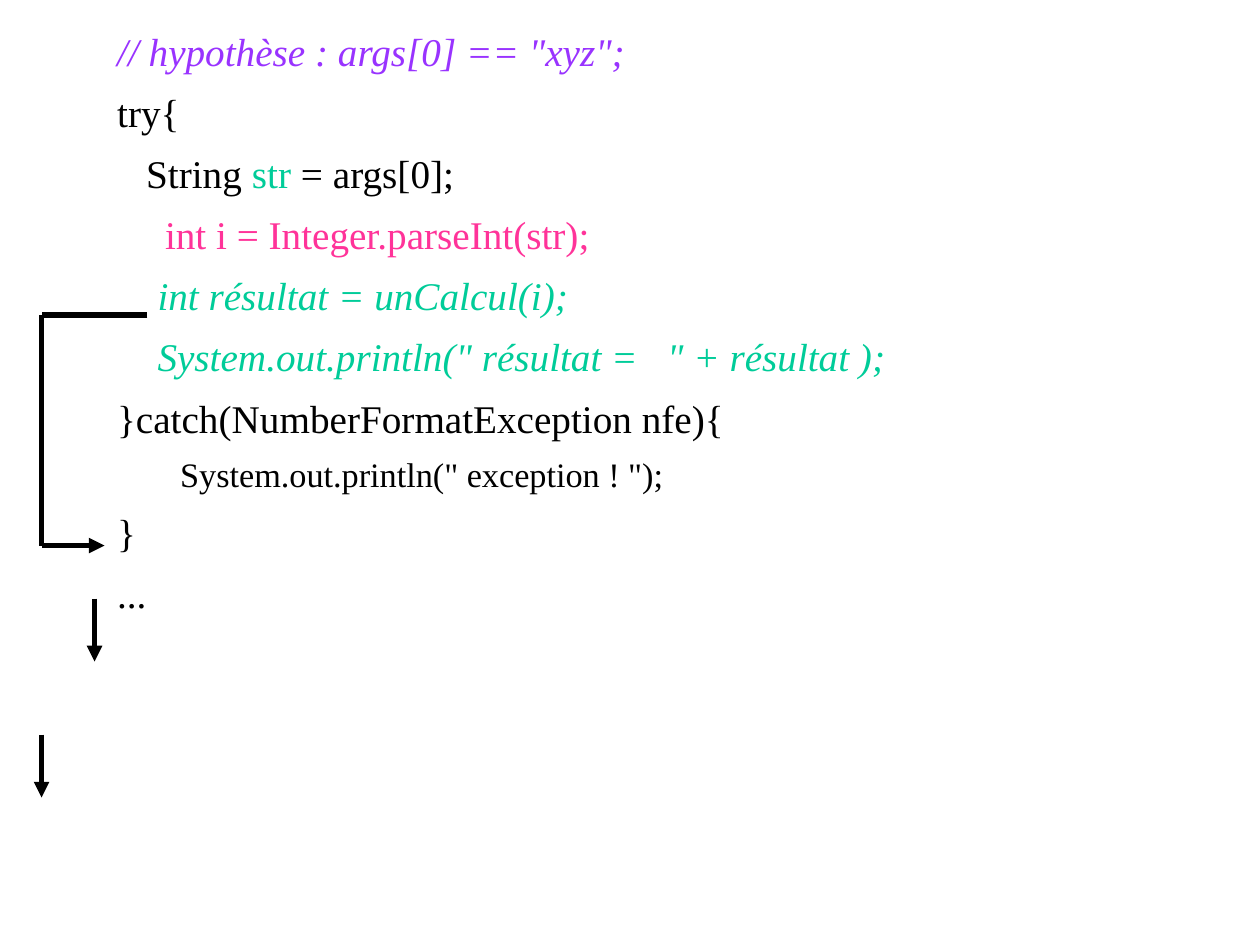
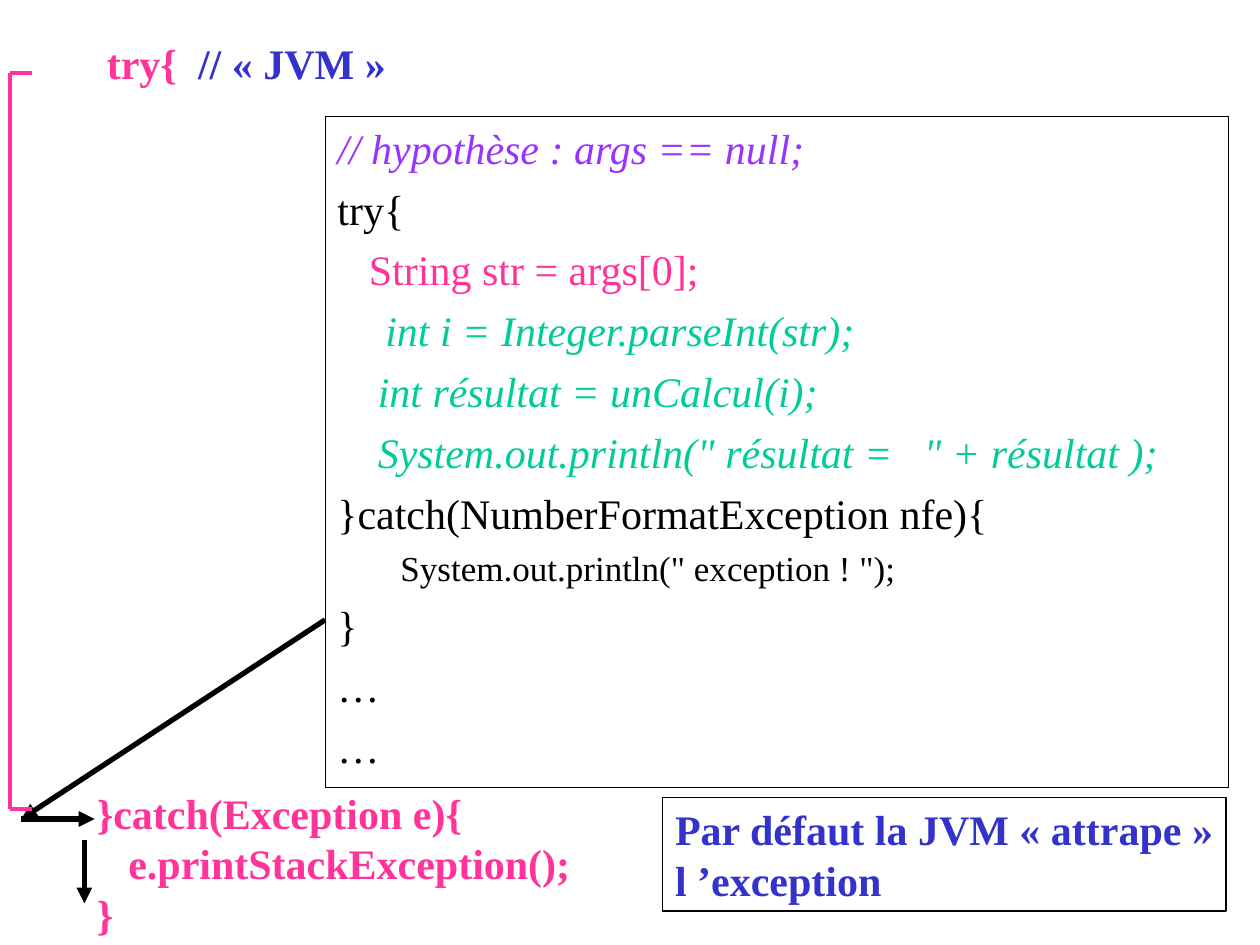
from lxml.etree import SubElement
from pptx import Presentation
from pptx.dml.color import RGBColor
from pptx.enum.shapes import MSO_CONNECTOR, MSO_SHAPE
from pptx.enum.text import MSO_ANCHOR, MSO_AUTO_SIZE, PP_ALIGN
from pptx.oxml.ns import qn
from pptx.util import Inches, Pt

COLORS = {
    "black": "000000",
    "purple": "9933FF",
    "pink": "FF3399",
    "green": "00CC99",
    "blue": "3333CC",
}
FONT = "Times New Roman"


def write_lines(frame, lines, size, small_size=20, before=0, bold=False, wrap=True):
    frame.auto_size = MSO_AUTO_SIZE.NONE
    frame.word_wrap = wrap
    frame.vertical_anchor = MSO_ANCHOR.TOP
    for index, (level, indent, italic, segments) in enumerate(lines):
        paragraph = frame.paragraphs[0] if index == 0 else frame.add_paragraph()
        paragraph.level = level
        paragraph.alignment = PP_ALIGN.LEFT
        paragraph.space_before = Pt(max(before - level, 0))
        properties = paragraph._p.get_or_add_pPr()
        properties.set("marL", str(Inches(indent)))
        properties.set("indent", "0")
        SubElement(properties, qn("a:buNone"))
        paragraph.font.name = FONT
        paragraph.font.size = Pt(small_size if level else size)
        paragraph.font.bold = bold
        paragraph.font.italic = italic
        paragraph.font.color.rgb = RGBColor.from_string(COLORS[segments[0][1]])
        for text, color in segments:
            run = paragraph.add_run()
            run.text = text
            if color != segments[0][1]:
                run.font.color.rgb = RGBColor.from_string(COLORS[color])


def add_line(slide, start, end, color="black", width=3, arrow=False):
    connector = slide.shapes.add_connector(
        MSO_CONNECTOR.STRAIGHT, *[Inches(value) for value in start + end]
    )
    connector.line.color.rgb = RGBColor.from_string(COLORS[color])
    connector.line.width = Pt(width)
    if arrow:
        SubElement(connector.line._get_or_add_ln(), qn("a:tailEnd"), type="triangle")
    SubElement(connector._element.spPr, qn("a:effectLst"))


presentation = Presentation()
presentation.slide_width = Inches(10)
presentation.slide_height = Inches(7.5)

calculation_and_catch = [
    (0, 0.32, True, [("int résultat = unCalcul(i);", "green")]),
    (0, 0.32, True, [('System.out.println(" résultat =   " + résultat );', "green")]),
    (0, 0, False, [("}catch(NumberFormatException nfe){", "black")]),
    (1, 0.5, False, [('System.out.println(" exception ! ");', "black")]),
    (0, 0, False, [("}", "black")]),
]

slide = presentation.slides.add_slide(presentation.slide_layouts[1])
title = slide.shapes.title._element
title.getparent().remove(title)
body = slide.placeholders[1]
body.left, body.top = Inches(0.83), Inches(0.17)
body.width, body.height = Inches(9), Inches(5)
parse_failure = [
    (0, 0, True, [('// hypothèse : args[0] == "xyz";', "purple")]),
    (0, 0, False, [("try{", "black")]),
    (0, 0.23, False, [("String ", "black"), ("str", "green"), (" = args[0];", "black")]),
    (0, 0.38, False, [("int i = Integer.parseInt(str);", "pink")]),
    *calculation_and_catch,
    (0, 0, False, [("...", "black")]),
]
write_lines(body.text_frame, parse_failure, 22.4, 19.6, before=8)

for start, end, arrow in [
    ((1.17, 2.5), (0.33, 2.5), False),
    ((0.33, 2.5), (0.33, 4.33), False),
    ((0.33, 4.33), (0.83, 4.33), True),
    ((0.33, 5.83), (0.33, 6.33), True),
    ((0.75, 4.75), (0.75, 5.25), True),
]:
    add_line(slide, start, end, arrow=arrow)

slide = presentation.slides.add_slide(presentation.slide_layouts[6])
null_failure = [
    (0, 0, True, [("// hypothèse : args == null;", "purple")]),
    (0, 0, False, [("try{", "black")]),
    (0, 0.25, False, [("String str = args[0];", "pink")]),
    (0, 0.38, True, [("int i = Integer.parseInt(str);", "green")]),
    *calculation_and_catch,
    (0, 0, False, [("…", "black")]),
    (0, 0, False, [("…", "black")]),
]
default_handling = [
    (0, 0, False, [("Par défaut la JVM « attrape »", "blue")]),
    (0, 0, False, [("l ’exception", "blue")]),
]
for box, outline, lines, style in [
    ((2.58, 0.92, 7.17, 5.33), 0.25, null_failure, {"before": 6}),
    ((5.26, 6.33, 4.47, 0.9), 0.75, default_handling, {"bold": True, "wrap": False}),
]:
    frame_shape = slide.shapes.add_shape(
        MSO_SHAPE.RECTANGLE, *[Inches(value) for value in box]
    )
    frame_shape.shadow.inherit = False
    frame_shape.fill.background()
    frame_shape.line.color.rgb = RGBColor.from_string(COLORS["black"])
    frame_shape.line.width = Pt(outline)
    write_lines(frame_shape.text_frame, lines, 24, **style)

jvm_try = [(0, 0, False, [("try{  ", "pink"), ("// « JVM »", "blue")])]
jvm_catch = [
    (0, 0, False, [("}catch(Exception e){", "pink")]),
    (0, 0.25, False, [("e.printStackException();", "pink")]),
    (0, 0, False, [("}", "pink")]),
]
for box, lines in [
    ((0.75, 0.25, 2.41, 0.5), jvm_try),
    ((0.67, 6.2, 3.96, 1.3), jvm_catch),
]:
    text_box = slide.shapes.add_textbox(*[Inches(value) for value in box])
    write_lines(text_box.text_frame, lines, 24, bold=True, wrap=False)

for start, end in [
    ((0.17, 6.5), (0.75, 6.5)),
    ((2.58, 4.92), (0.17, 6.5)),
    ((0.67, 6.67), (0.67, 7.17)),
]:
    add_line(slide, start, end, arrow=True)

bracket_left, bracket_right, bracket_top, bracket_bottom = 0.08, 0.25, 0.58, 6.42
for start, end in [
    ((bracket_left, bracket_top), (bracket_left, bracket_bottom)),
    ((bracket_left, bracket_top), (bracket_right, bracket_top)),
    ((bracket_left, bracket_bottom), (bracket_right, bracket_bottom)),
]:
    add_line(slide, start, end, "pink", 2.25)

presentation.save("out.pptx")
